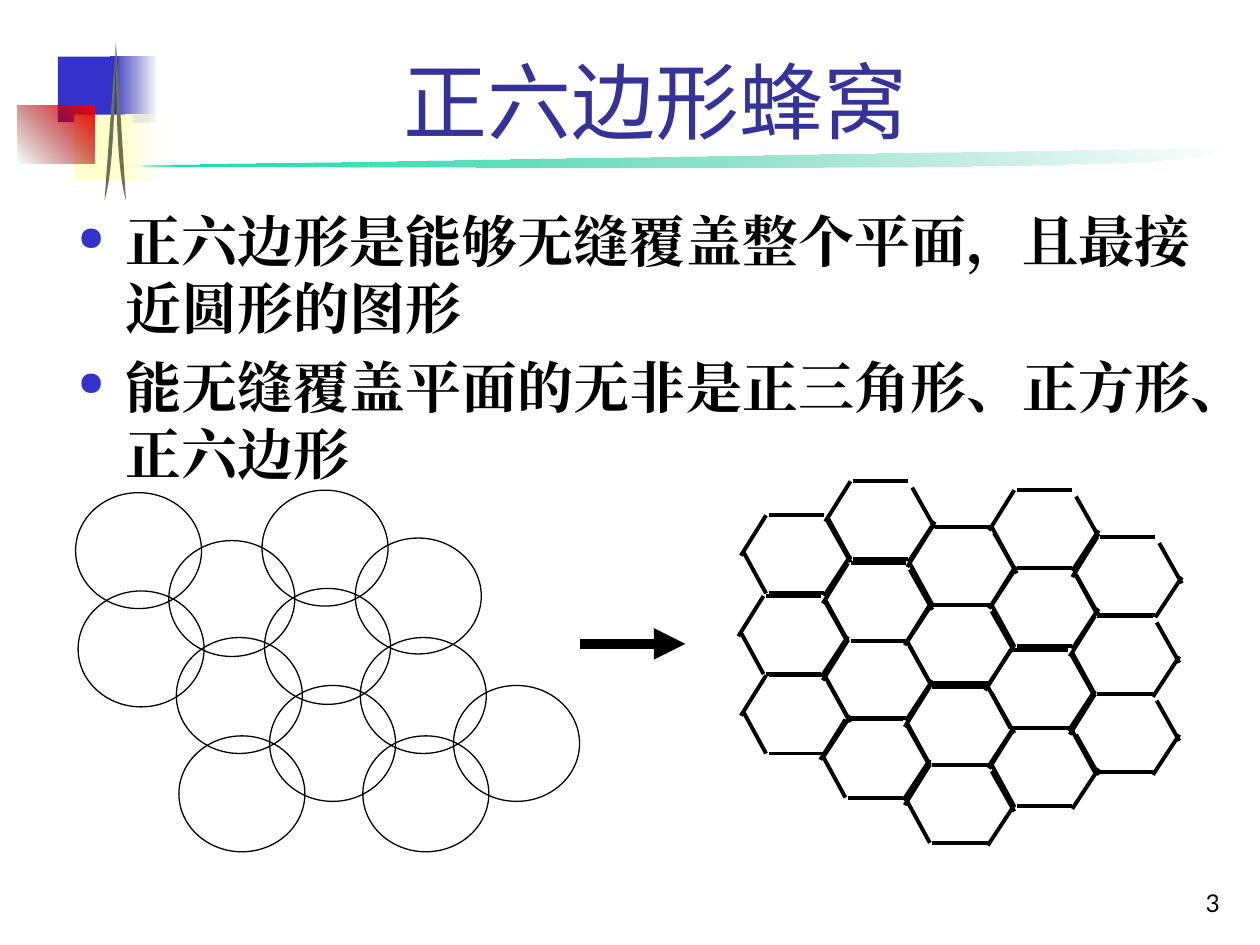
from lxml import etree
from pptx import Presentation
from pptx import util as u
from pptx.dml.color import RGBColor
from pptx.enum import shapes, text
from pptx.oxml import parse_xml
from pptx.oxml.ns import nsdecls, qn

COLORS = {
    "black": "000000", "title": "333399", "blue": "3333CC", "navy": "242492",
    "cream": "FFFFCC", "white": "FFFFFF", "maroon": "4D0000", "red": "FF0000",
    "mint": "00E4A8", "green": "00A378", "olive": "6C7351",
}
BULLETS = [
    "正六边形是能够无缝覆盖整个平面，且最接近圆形的图形",
    "能无缝覆盖平面的无非是正三角形、正方形、正六边形",
]
CIRCLES = [
    (2.88, 5.84), (3.6, 5.44), (2.86, 5.06), (2.1, 4.67), (2.82, 4.27), (2.08, 3.89),
    (1.42, 5.84), (2.14, 5.44), (1.4, 5.06), (0.62, 4.69), (1.34, 4.29), (0.6, 3.91),
]
# Each side of a cell, measured from the left end of its top side
HEXAGON_SIDES = {
    "top": (0, 0, 0.44, 0),
    "bottom": (0, 0.62, 0.44, 0.62),
    "lower right": (0.65, 0.32, 0.44, 0.64),
    "upper left": (-0.02, 0, -0.22, 0.32),
    "lower left": (-0.2, 0.29, -0.02, 0.62),
    "upper right": (0.47, 0.05, 0.65, 0.37),
}
# Position of each cell and the side that it leaves to its neighbour
HEXAGONS = [
    (7.42, 4.18, None), (8.07, 4.51, "top"), (6.75, 5.08, "top"),
    (6.75, 4.47, None), (7.4, 4.8, None), (7.4, 5.45, "bottom"),
    (8.04, 5.16, None), (6.73, 5.71, None), (8.07, 5.78, None),
    (8.71, 4.89, "bottom"), (7.4, 6.07, None), (8.07, 3.89, None),
    (6.77, 3.82, None), (8.73, 4.26, None), (8.71, 5.51, None),
    (6.1, 4.09, None), (6.08, 4.73, None), (6.1, 5.36, None),
]


def cm(inches):
    return u.Cm(inches * 2.54)


def rgb(name):
    return RGBColor.from_string(COLORS[name])


def paint(shape, fill):
    """Fill with a colour name, or with (angle, (colour, alpha %), (colour, alpha %))."""
    shape.shadow.inherit = False
    shape.line.fill.background()
    shape.fill.solid()
    if isinstance(fill, str):
        shape.fill.fore_color.rgb = rgb(fill)
        return
    angle, *stops = fill
    stop_xml = "".join(
        f'<a:gs pos="{i * 100000}"><a:srgbClr val="{COLORS[name]}">'
        f'<a:alpha val="{alpha * 1000}"/></a:srgbClr></a:gs>'
        for i, (name, alpha) in enumerate(stops))
    gradient = parse_xml(
        f'<a:gradFill {nsdecls("a")} rotWithShape="1"><a:gsLst>{stop_xml}</a:gsLst>'
        f'<a:lin ang="{angle * 60000}" scaled="0"/></a:gradFill>')
    properties = shape.fill._xPr
    properties.replace(properties.find(qn("a:solidFill")), gradient)


def add_block(slide, box, fill):
    block = slide.shapes.add_shape(shapes.MSO_SHAPE.RECTANGLE, *map(cm, box))
    paint(block, fill)


def add_curved_outline(slide, start, curves, fill, steps=16):
    """Closed outline that follows cubic curves (control, control, end)."""
    points, origin = [], start
    for curve in curves:
        corners = (origin, *curve)
        for step in range(1, steps + 1):
            t = step / steps
            weights = ((1 - t) ** 3, 3 * t * (1 - t) ** 2, 3 * t * t * (1 - t), t ** 3)
            points.append(tuple(
                cm(sum(w * corner[axis] for w, corner in zip(weights, corners)))
                for axis in (0, 1)))
        origin = curve[-1]
    builder = slide.shapes.build_freeform(cm(start[0]), cm(start[1]))
    builder.add_line_segments(points, close=True)
    paint(builder.convert_to_shape(), fill)


def add_line(parent, ends, width):
    line = parent.shapes.add_connector(shapes.MSO_CONNECTOR.STRAIGHT, *map(cm, ends))
    line.line.color.rgb = rgb("black")
    line.line.width = u.Pt(width)
    etree.SubElement(line._element.spPr, qn("a:effectLst"))
    return line


def add_text(slide, box, paragraphs, font, color, anchor, align, bulleted=False):
    frame = slide.shapes.add_textbox(*map(cm, box)).text_frame
    frame.word_wrap = True
    frame.vertical_anchor = anchor
    for i, words in enumerate(paragraphs):
        paragraph = frame.paragraphs[0] if i == 0 else frame.add_paragraph()
        paragraph.alignment = align
        if i:
            paragraph.space_before = u.Pt(6.4)
        if bulleted:
            add_bullet(paragraph)
        run = paragraph.add_run()
        run.text = words
        for key, value in font.items():
            setattr(run.font, key, value)
        run.font.color.rgb = rgb(color)
        east_asian = etree.Element(qn("a:ea"), typeface=font["name"])
        run.font._element.find(qn("a:latin")).addnext(east_asian)


def add_bullet(paragraph):
    properties = paragraph._p.get_or_add_pPr()
    properties.set("marL", str(cm(0.38)))
    properties.set("indent", str(-cm(0.38)))
    color = etree.SubElement(properties, qn("a:buClr"))
    etree.SubElement(color, qn("a:srgbClr"), val=COLORS["blue"])
    etree.SubElement(properties, qn("a:buSzPct"), val="60000")
    etree.SubElement(properties, qn("a:buChar"), char="●")


def add_ornament(slide):
    add_curved_outline(
        slide, (0.58, 1.31),
        [((3.49, 1.32), (6.39, 1.34), (7.92, 1.31)),
         ((9.44, 1.29), (9.48, 1.26), (9.75, 1.17))],
        (315, ("mint", 100), ("green", 0)))
    for box, fill in [
        ((0.46, 0.45, 0.48, 0.52), "blue"),
        ((0.88, 0.45, 0.36, 0.52), (0, ("blue", 100), ("navy", 0))),
        ((0.59, 0.91, 0.46, 0.52), "cream"),
        ((1, 0.91, 0.4, 0.52), (0, ("cream", 100), ("white", 0))),
        ((0.14, 0.84, 0.61, 0.46), (315, ("maroon", 0), ("red", 100))),
    ]:
        add_block(slide, box, fill)
    for curve in [((0.91, 0.85), (0.9, 1.36), (0.83, 1.59)),
                  ((0.92, 0.85), (0.93, 1.36), (1, 1.59))]:
        add_curved_outline(slide, (0.92, 0.34), [curve], "olive")


def add_circles(slide):
    cluster = slide.shapes.add_group_shape()
    for left, top in CIRCLES:
        circle = cluster.shapes.add_shape(
            shapes.MSO_SHAPE.OVAL, *map(cm, (left, top, 1, 0.92)))
        circle.shadow.inherit = False
        circle.fill.background()
        circle.line.color.rgb = rgb("black")
        circle.line.width = u.Pt(0.75)


def add_honeycomb(slide):
    honeycomb = slide.shapes.add_group_shape()
    for left, top, shared in HEXAGONS:
        for side, (x1, y1, x2, y2) in HEXAGON_SIDES.items():
            if side != shared:
                add_line(honeycomb, (left + x1, top + y1, left + x2, top + y2), 2.25)


def main():
    deck = Presentation()
    deck.slide_width, deck.slide_height = cm(10), cm(7.5)
    slide = deck.slides.add_slide(deck.slide_layouts[6])
    anchors, aligns = text.MSO_ANCHOR, text.PP_ALIGN

    add_ornament(slide)
    add_text(slide, (1.26, 0.23, 7.88, 1.01), ["正六边形蜂窝"],
             {"name": "Noto Sans CJK SC", "size": u.Pt(48)},
             "title", anchors.BOTTOM, aligns.CENTER)
    add_text(slide, (0.52, 1.59, 9.29, 5.36), BULLETS,
             {"name": "Times New Roman", "size": u.Pt(32), "bold": True},
             "black", anchors.TOP, aligns.LEFT, bulleted=True)
    add_text(slide, (7.7, 6.83, 2.08, 0.5), ["3"],
             {"name": "Lato", "size": u.Pt(14)},
             "black", anchors.BOTTOM, aligns.RIGHT)
    add_circles(slide)
    add_honeycomb(slide)
    arrow = add_line(slide, (4.6, 5.11, 5.44, 5.11), 6)
    etree.SubElement(arrow.line._ln, qn("a:tailEnd"), type="triangle")
    deck.save("out.pptx")


if __name__ == "__main__":
    main()
